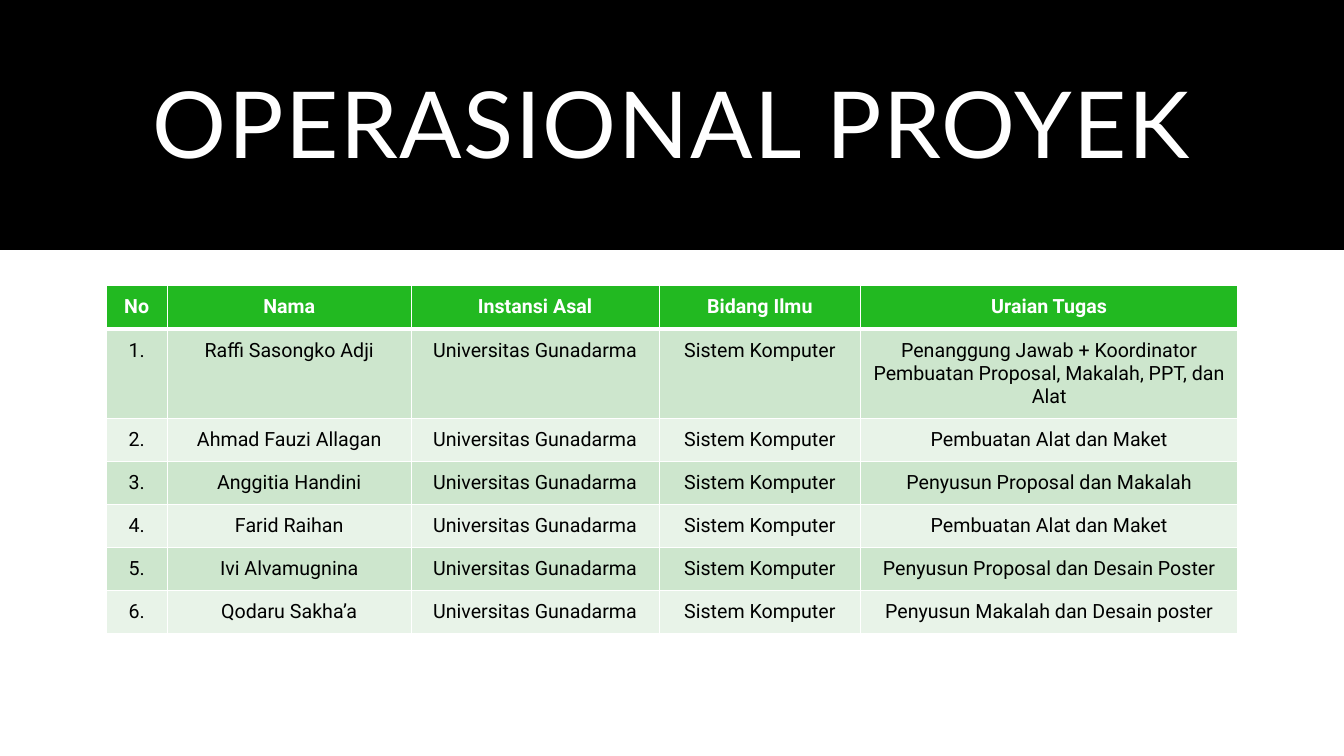
from lxml import etree
from pptx import Presentation
from pptx.dml.color import RGBColor
from pptx.enum.shapes import MSO_SHAPE
from pptx.enum.text import MSO_ANCHOR, MSO_AUTO_SIZE, PP_ALIGN
from pptx.oxml.ns import qn
from pptx.util import Cm, Pt

RECTANGLE = MSO_SHAPE.RECTANGLE
MIDDLE = MSO_ANCHOR.MIDDLE
TOP = MSO_ANCHOR.TOP
NO_FIT = MSO_AUTO_SIZE.NONE
CENTER = PP_ALIGN.CENTER

HEADING = "OPERASIONAL PROYEK"
HEADERS = ("No", "Nama", "Instansi Asal", "Bidang Ilmu", "Uraian Tugas")
INSTITUTION = "Universitas Gunadarma"
FIELD = "Sistem Komputer"
MEMBERS = [
    ("Raffi Sasongko Adji",
     "Penanggung Jawab + Koordinator Pembuatan Proposal, Makalah, PPT, dan Alat"),
    ("Ahmad Fauzi Allagan", "Pembuatan Alat dan Maket"),
    ("Anggitia Handini", "Penyusun Proposal dan Makalah"),
    ("Farid Raihan", "Pembuatan Alat dan Maket"),
    ("Ivi Alvamugnina", "Penyusun Proposal dan Desain Poster"),
    ("Qodaru Sakha’a", "Penyusun Makalah dan Desain poster"),
]

WHITE, BLACK, GREEN = "FFFFFF", "000000", "22B921"
BANDS = ("CDE6CD", "E8F3E8")
SLIDE_WIDTH, SLIDE_HEIGHT = 33.87, 19.05
LEFT, CONTENT_WIDTH = 2.67, 28.52
BAND_HEIGHT = 6.3
TABLE_TOP, ROW_HEIGHT, INSET = 7.2, 1.04, 0.25
COLUMN_WIDTHS = (1.55, 6.14, 6.25, 5.08, 9.5)


def color(value):
    return RGBColor.from_string(value)


def write(frame, text, size, font, ink, bold=False, tracking=0, line_spacing=None):
    paragraph = frame.paragraphs[0]
    paragraph.alignment = CENTER
    paragraph.line_spacing = line_spacing
    run = paragraph.add_run()
    run.text = text
    run.font.size = Pt(size)
    run.font.name = font
    run.font.bold = bold
    run.font.color.rgb = color(ink)
    if tracking:
        run.font._element.set("spc", str(round(tracking * 100)))


def draw_borders(cell, bottom_width):
    properties = cell._tc.get_or_add_tcPr()
    widths = {"a:lnL": 1, "a:lnR": 1, "a:lnT": 1, "a:lnB": bottom_width}
    for position, (side, width) in enumerate(widths.items()):
        line = etree.Element(qn(side), w=str(Pt(width)))
        fill = etree.SubElement(line, qn("a:solidFill"))
        etree.SubElement(fill, qn("a:srgbClr"), val=WHITE)
        properties.insert(position, line)


def add_heading(slide):
    title = slide.shapes.title
    title.left, title.top = Cm(LEFT), Cm(0.89)
    title.width, title.height = Cm(CONTENT_WIDTH), Cm(4.72)
    frame = title.text_frame
    frame.auto_size = NO_FIT
    frame.word_wrap = True
    frame.vertical_anchor = MIDDLE
    write(frame, HEADING, size=66, font="Lato", ink=WHITE, tracking=1.2, line_spacing=0.9)

    band = slide.shapes.add_shape(RECTANGLE, 0, 0, Cm(SLIDE_WIDTH), Cm(BAND_HEIGHT))
    band.shadow.inherit = False
    band.fill.solid()
    band.fill.fore_color.rgb = color(BLACK)
    band.line.fill.background()
    title.element.addprevious(band.element)


def add_team_table(slide):
    rows = [HEADERS] + [
        (f"{number}.", name, INSTITUTION, FIELD, task)
        for number, (name, task) in enumerate(MEMBERS, 1)
    ]
    team = slide.shapes.add_table(
        len(rows), len(HEADERS), Cm(LEFT), Cm(TABLE_TOP),
        Cm(CONTENT_WIDTH), Cm(ROW_HEIGHT * len(rows)),
    ).table
    for column, width in zip(team.columns, COLUMN_WIDTHS):
        column.width = Cm(width)
    for row_index, row in enumerate(rows):
        is_header = row_index == 0
        team.rows[row_index].height = Cm(ROW_HEIGHT)
        for column_index, text in enumerate(row):
            cell = team.cell(row_index, column_index)
            cell.margin_left = cell.margin_right = Cm(INSET)
            cell.margin_top = cell.margin_bottom = Cm(INSET)
            cell.vertical_anchor = TOP
            cell.fill.solid()
            cell.fill.fore_color.rgb = color(GREEN if is_header else BANDS[(row_index - 1) % 2])
            draw_borders(cell, bottom_width=3 if is_header else 1)
            write(cell.text_frame, text, size=14, font="Roboto",
                  ink=WHITE if is_header else BLACK, bold=is_header)


def main():
    deck = Presentation()
    deck.slide_width, deck.slide_height = Cm(SLIDE_WIDTH), Cm(SLIDE_HEIGHT)
    slide = deck.slides.add_slide(deck.slide_layouts[5])
    add_heading(slide)
    add_team_table(slide)
    deck.save("out.pptx")


if __name__ == "__main__":
    main()
